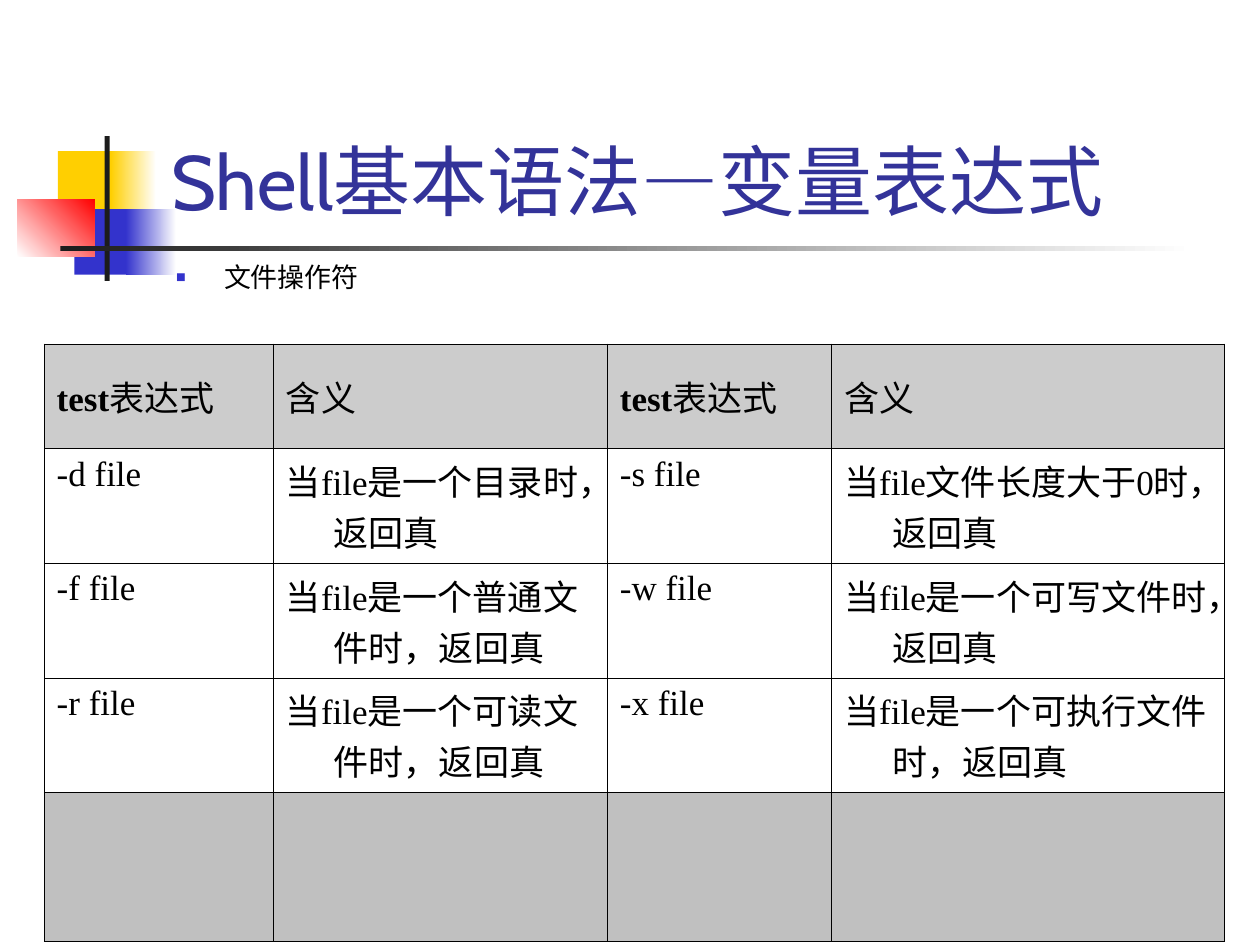
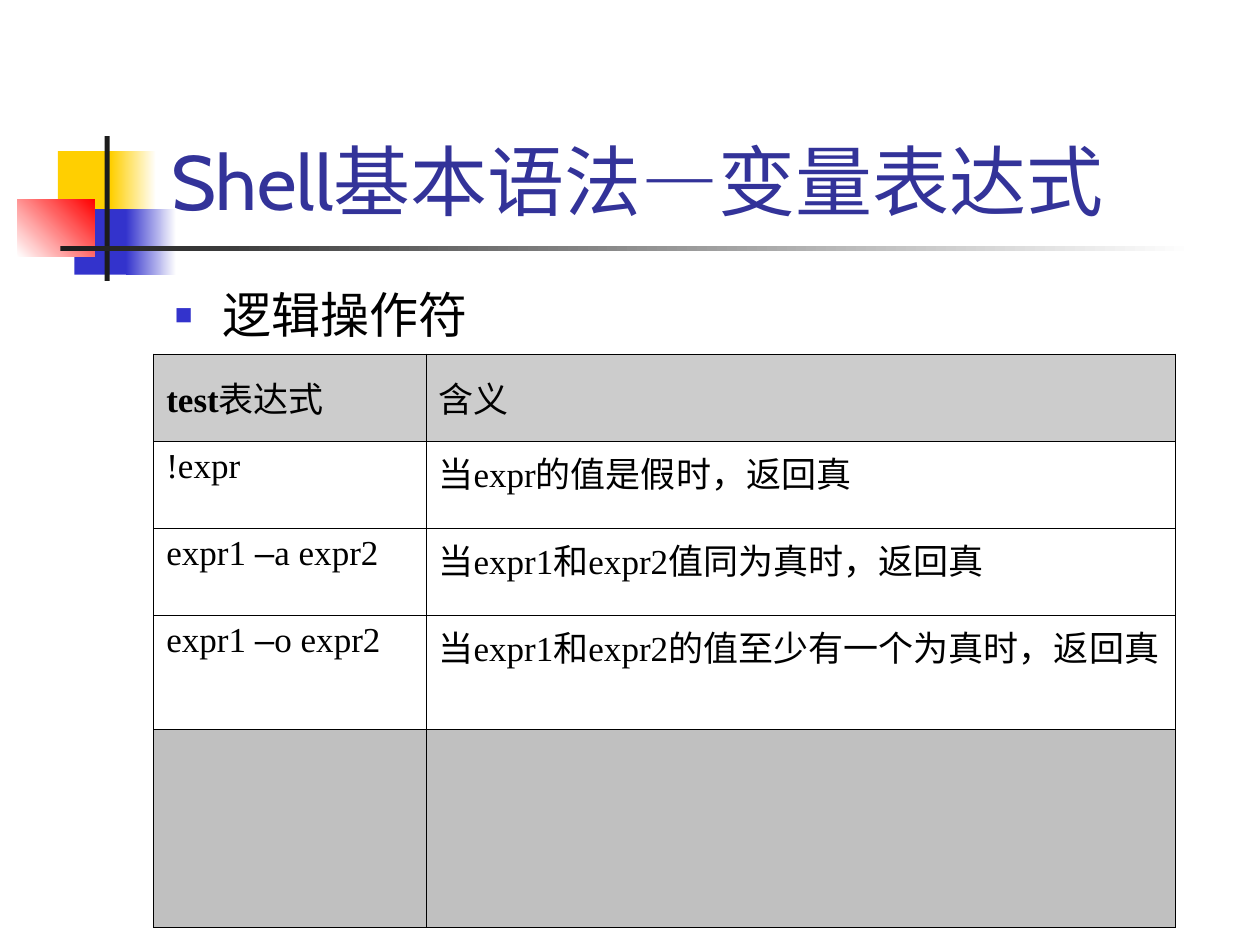
from lxml import etree
from pptx import Presentation
from pptx.dml.color import RGBColor
from pptx.enum.lang import MSO_LANGUAGE_ID
from pptx.enum.shapes import MSO_SHAPE
from pptx.enum.text import MSO_ANCHOR
from pptx.oxml.ns import qn
from pptx.util import Inches, Pt

RECT = MSO_SHAPE.RECTANGLE
TOP, MIDDLE, BOTTOM = MSO_ANCHOR.TOP, MSO_ANCHOR.MIDDLE, MSO_ANCHOR.BOTTOM
CHINESE = MSO_LANGUAGE_ID.SIMPLIFIED_CHINESE

COLORS = {
    "yellow": "FFCF01", "blue": "3333CC", "red": "FF0000", "ink": "1C1C1C",
    "white": "FFFFFF", "black": "000000", "title": "333399",
    "head": "CCCCCC", "foot": "C0C0C0",
}
HEAD_FONT, CELL_FONT, DASH_FONT = "Cabin", "Times New Roman", "Arial"
TITLE = "Shell基本语法|—|变量表达式"
HANG = 0.38
THIN, MID, THICK = 0.34, 0.45, 0.96
TALL = 0.91  # row that holds two lines of text

# Master decoration: left, top, width, height, colours, angle
DECOR = [
    (0.46, 1.2, 0.48, 0.52, ["yellow"], 0),
    (0.88, 1.2, 0.36, 0.52, ["yellow", "white"], 0),
    (0.59, 1.66, 0.46, 0.52, ["blue"], 0),
    (1, 1.66, 0.4, 0.52, ["blue", "white"], 0),
    (0.14, 1.58, 0.61, 0.46, ["white", "red"], 45),
    (0.83, 1.08, 0.04, 1.15, ["ink"], 0),
    (0.48, 1.95, 9, 0.04, ["ink", "white"], 0),
]

HEADER = ["test|表达式", "含义"]
FILE_ROWS = [
    HEADER * 2,
    ["-d file", "当file是一个目录时，返回真", "-s file", "当file文件长度大于0时，返回真"],
    ["-f file", "当file是一个普通文件时，返回真", "-w file", "当file是一个可写文件时，返回真"],
    ["-r file", "当file是一个可读文件时，返回真", "-x file", "当file是一个可执行文件时，返回真"],
    [""] * 4,
]
LOGIC_ROWS = [
    HEADER,
    ["!expr", "当expr的值是假时，返回真"],
    ["expr1 |–|a expr2", "当expr1和expr2值同为真时，返回真"],
    ["expr1 |–|o expr2", "当expr1和expr2的值至少有一个为真时，返回真"],
    [""] * 2,
]


def color(name):
    return RGBColor.from_string(COLORS[name])


def write(para, text, size, face, tint="black"):
    """Fill a paragraph with runs parted by bars; dashes use their own font."""
    for piece in text.split("|"):
        run = para.add_run()
        run.text = piece
        font = run.font
        font.size = Pt(size)
        font.name = DASH_FONT if piece in "—–" else face
        font.bold = piece == "test"
        font.color.rgb = color(tint)
        font.language_id = CHINESE


def indent(para):
    props = para._p.get_or_add_pPr()
    props.set("marL", str(Inches(HANG)))
    props.set("indent", str(-Inches(HANG)))
    return props


def add_block(slide, left, top, width, height, tints, angle):
    block = slide.shapes.add_shape(
        RECT, Inches(left), Inches(top), Inches(width), Inches(height))
    block.shadow.inherit = False
    block.line.fill.background()
    if len(tints) == 1:
        block.fill.solid()
        block.fill.fore_color.rgb = color(tints[0])
        return
    block.fill.gradient()
    block.fill.gradient_angle = angle
    for stop, place, tint in zip(block.fill.gradient_stops, (0, 1), tints):
        stop.position = place
        stop.color.rgb = color(tint)


def add_text(slide, box, text, size, tint="black", anchor=TOP):
    frame = slide.shapes.add_textbox(*map(Inches, box)).text_frame
    frame.word_wrap = True
    frame.vertical_anchor = anchor
    para = frame.paragraphs[0]
    write(para, text, size, HEAD_FONT, tint)
    return para


def add_bullet(slide, box, text, size):
    para = add_text(slide, box, text, size)
    para.space_before = Pt(7)
    props = indent(para)
    tone = etree.SubElement(props, qn("a:buClr"))
    etree.SubElement(tone, qn("a:srgbClr"), val=COLORS["blue"])
    etree.SubElement(props, qn("a:buSzPct"), val="60000")
    etree.SubElement(props, qn("a:buFont"), typeface=DASH_FONT)
    etree.SubElement(props, qn("a:buChar"), char="■")


def add_border(cell, side, width):
    line = etree.SubElement(
        cell._tc.get_or_add_tcPr(), qn("a:ln" + side), w=str(Pt(width)))
    fill = etree.SubElement(line, qn("a:solidFill"))
    etree.SubElement(fill, qn("a:srgbClr"), val=COLORS["black"])


def add_grid(slide, left, top, widths, heights, rows):
    shape = slide.shapes.add_table(
        len(rows), len(widths), Inches(left), Inches(top),
        Inches(sum(widths)), Inches(sum(heights)))
    table = shape.table
    table.first_row = table.horz_banding = False
    for column, width in zip(table.columns, widths):
        column.width = Inches(width)
    for row, height in zip(table.rows, heights):
        row.height = Inches(height)

    last = len(rows) - 1
    edges = [THIN] * (len(widths) + 1)
    if len(widths) == 4:
        edges[2] = THICK  # divides the two halves
    levels = [MID, MID] + [THIN] * (last - 2) + [MID, THIN]
    fills = {0: "head", last: "foot"}
    for r, texts in enumerate(rows):
        for c, text in enumerate(texts):
            cell = table.cell(r, c)
            for side, width in zip(
                    "LRTB", (edges[c], edges[c + 1], levels[r], levels[r + 1])):
                add_border(cell, side, width)
            if r in fills:
                cell.fill.solid()
                cell.fill.fore_color.rgb = color(fills[r])
            else:
                cell.fill.background()
            cell.vertical_anchor = TOP if r else MIDDLE
            if text:
                para = cell.text_frame.paragraphs[0]
                indent(para)
                write(para, text, 20, CELL_FONT)


def add_page(deck):
    """Add a slide with the shared decoration and title."""
    slide = deck.slides.add_slide(deck.slide_layouts[6])
    for block in DECOR:
        add_block(slide, *block)
    add_text(slide, (1.26, 0.24, 8.52, 1.6), TITLE, 44, "title", BOTTOM)
    return slide


def main():
    deck = Presentation()
    deck.slide_width, deck.slide_height = Inches(10), Inches(7.5)

    # File operators
    page = add_page(deck)
    add_grid(page, 0.35, 2.73, [1.82, 2.65, 1.78, 3.12],
             [0.83, TALL, TALL, TALL, 1.18], FILE_ROWS)
    add_bullet(page, (1.3, 2.02, 2.99, 0.4), "文件操作符", 15.4)

    # Logic operators
    page = add_page(deck)
    add_bullet(page, (1.29, 2.21, 4.17, 4.5), "逻辑操作符", 28)
    add_grid(page, 1.22, 2.81, [2.16, 5.95],
             [0.69, 0.69, 0.69, TALL, 1.57], LOGIC_ROWS)

    deck.save("out.pptx")


if __name__ == "__main__":
    main()
